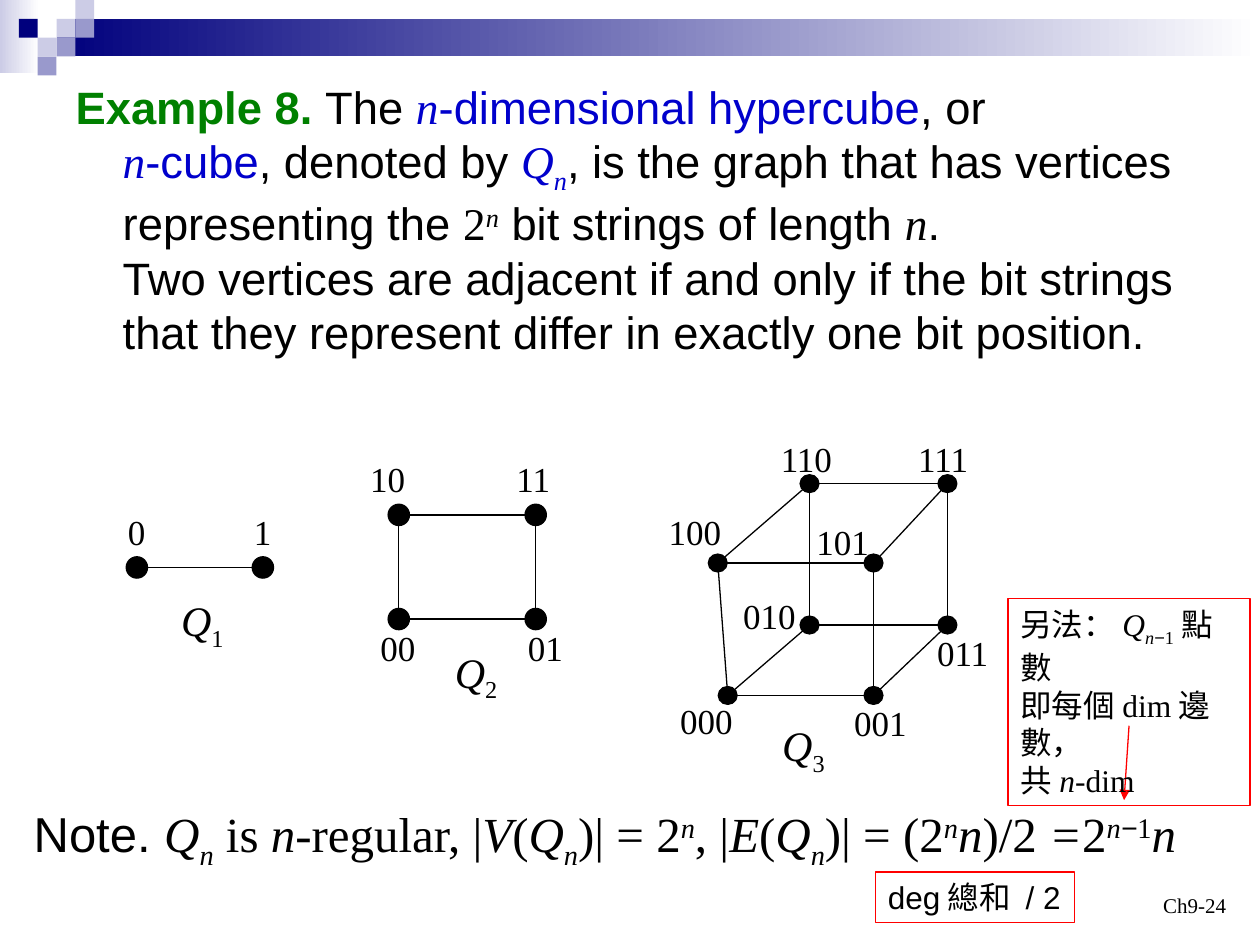
from itertools import combinations

from lxml import etree
from pptx import Presentation
from pptx.dml.color import RGBColor
from pptx.enum.shapes import MSO_CONNECTOR, MSO_SHAPE
from pptx.enum.text import MSO_ANCHOR, MSO_AUTO_SIZE, PP_ALIGN
from pptx.oxml.ns import qn
from pptx.util import Cm, Pt

RECT, OVAL = MSO_SHAPE.RECTANGLE, MSO_SHAPE.OVAL
LINE = MSO_CONNECTOR.STRAIGHT
GROW, FIXED = MSO_AUTO_SIZE.SHAPE_TO_FIT_TEXT, MSO_AUTO_SIZE.NONE
BASE, LOW, RIGHT = MSO_ANCHOR.TOP, MSO_ANCHOR.BOTTOM, PP_ALIGN.RIGHT

COLORS = {
    "black": "000000", "green": "008000", "blue": "0000CC", "red": "FF0000",
    "navy": "00007D", "mid": "9999CC", "pale": "CCCCE6", "white": "FFFFFF",
}
UNIT = 0.38  # side of one square in the corner pattern
SQUARES = [(3, 1, "pale"), (4, 0, "pale"), (4, 1, "mid"), (2, 2, "pale"),
           (1, 1, "navy"), (3, 2, "mid"), (2, 3, "mid")]

# Run marks: a Arial (else Times), b bold, i italic, g green, u blue,
# _ subscript, ^ superscript
BODY = [
    ("Example 8. ", "abg"), ("The ", "a"), ("n", "iu"),
    ("-dimensional hypercube", "au"), (", or \n", "a"), ("n", "iu"),
    ("-cube", "au"), (", denoted by ", "a"), ("Q", "iu"), ("n", "iu_"),
    (", is the graph that has vertices representing the ", "a"),
    ("2", ""), ("n", "i^"), (" bit strings of length ", "a"), ("n", "i"),
    (".\nTwo vertices are adjacent if and only if the bit strings that "
     "they represent differ in exactly one bit position.", "a"),
]
NOTE = [
    ("Note. ", "a"), ("Q", "i"), ("n", "i_"), (" is ", ""), ("n", "i"),
    ("-regular, |", ""), ("V", "i"), ("(", ""), ("Q", "i"), ("n", "i_"),
    (")| = 2", ""), ("n", "i^"), (", |", ""), ("E", "i"), ("(", ""),
    ("Q", "i"), ("n", "i_"), (")| = (2", ""), ("n", "i^"), ("n", "i"),
    (")/2", ""), (" =", "i"), ("2", ""), ("n", "i^"), ("−", "ai^"),
    ("1", "^"), ("n", "i"),
]
HINT = [
    ("另法：", ""), ("Q", "i"), ("n", "i_"), ("−", "a_"), ("1", "_"),
    ("點數\n即每個dim邊數，\n共", ""), ("n", "i"), ("-dim", ""),
]

# Each cube: name place, dot size, and bits -> (dot centre, label corner)
CUBES = {
    "1": ((3.4, 11.86), (0.43, 0.43), {
        "0": ((2.76, 11.44), (2.33, 10.16)),
        "1": ((5.3, 11.44), (4.87, 10.16)),
    }),
    "2": ((8.92, 12.9), (0.43, 0.43), {
        "10": ((8.04, 10.38), (7.21, 9.09)),
        "11": ((10.8, 10.38), (10.16, 9.09)),
        "00": ((8.04, 12.48), (7.42, 12.5)),
        "01": ((10.8, 12.48), (10.39, 12.5)),
    }),
    "3": ((15.52, 14.38), (0.38, 0.36), {
        "110": ((16.32, 9.75), (15.49, 8.69)),
        "111": ((19.1, 9.75), (18.26, 8.69)),
        "100": ((14.47, 11.35), (13.23, 10.16)),
        "101": ((17.61, 11.35), (16.21, 10.36)),
        "010": ((16.32, 12.6), (14.73, 11.86)),
        "011": ((19.1, 12.6), (18.64, 12.6)),
        "000": ((14.67, 14.02), (13.46, 13.97)),
        "001": ((17.61, 14.02), (16.97, 14.02)),
    }),
}


def rgb(name):
    return RGBColor.from_string(COLORS[name])


def cms(*nums):
    return [Cm(num) for num in nums]


def write(para, runs, size):
    for text, marks in runs:
        for pos, part in enumerate(text.split("\n")):
            if pos:
                para.add_line_break()
            if not part:
                continue
            run = para.add_run()
            run.text = part
            font = run.font
            font.size = Pt(size)
            font.name = "Arial" if "a" in marks else "Times New Roman"
            font.bold, font.italic = "b" in marks, "i" in marks
            hue = "green" if "g" in marks else "blue" if "u" in marks else "black"
            font.color.rgb = rgb(hue)
            shift = "-25000" if "_" in marks else "30000" if "^" in marks else None
            if shift:
                run._r.get_or_add_rPr().set("baseline", shift)


def add_text(slide, box, runs, size, wrap=False, edge=None):
    shape = slide.shapes.add_textbox(*cms(*box))
    frame = shape.text_frame
    frame.word_wrap, frame.auto_size = wrap, GROW
    write(frame.paragraphs[0], runs, size)
    if edge:
        shape.line.color.rgb = rgb(edge)
        shape.line.width = Pt(0.75)
    return shape


def add_solid(slide, kind, box, hue, fade=False):
    shape = slide.shapes.add_shape(kind, *cms(*box))
    shape.shadow.inherit = False
    shape.line.fill.background()
    if fade:
        shape.fill.gradient()
        shape.fill.gradient_angle = 0
        for stop, name in zip(shape.fill.gradient_stops, (hue, "white")):
            stop.color.rgb = rgb(name)
    else:
        shape.fill.solid()
        shape.fill.fore_color.rgb = rgb(hue)
    return shape


def add_line(slide, start, end, hue="black", arrow=False):
    line = slide.shapes.add_connector(LINE, *cms(*start, *end))
    line.line.color.rgb = rgb(hue)
    line.line.width = Pt(0.75)
    if arrow:
        tail = etree.SubElement(line.line._get_or_add_ln(), qn("a:tailEnd"))
        tail.set("type", "triangle")
    etree.SubElement(line._element.spPr, qn("a:effectLst"))


def add_cube(slide, dim, place, dot, nodes):
    # Edges join strings that differ in exactly one bit
    for one, two in combinations(nodes, 2):
        if sum(a != b for a, b in zip(one, two)) == 1:
            add_line(slide, nodes[one][0], nodes[two][0])
    wide, high = dot
    for bits, ((x, y), spot) in nodes.items():
        oval = add_solid(slide, OVAL, (x - wide / 2, y - high / 2, wide, high), "black")
        oval.line.color.rgb = rgb("black")
        oval.line.width = Pt(0.75)
        add_text(slide, (*spot, 0.51 + 0.35 * len(bits), 1.12), [(bits, "")], 20)
    add_text(slide, (*place, 1.37, 1.42), [("Q", "i"), (dim, "_")], 24)


def add_band(slide):
    add_solid(slide, RECT, (0, 0, 0.79, 1.47), "pale", True)
    add_solid(slide, RECT, (1.14, 0.38, 24.26, 0.76), "navy", True)
    for col, row, hue in SQUARES:
        add_solid(slide, RECT, (col * UNIT, row * UNIT, UNIT, UNIT), hue)


def add_body(slide):
    body = slide.placeholders[1]
    body.left, body.top, body.width, body.height = cms(1.27, 1.47, 22.86, 6.15)
    frame = body.text_frame
    frame.auto_size, frame.vertical_anchor = FIXED, BASE
    para = frame.paragraphs[0]
    props = para._p.get_or_add_pPr()
    props.set("marL", str(Cm(0.95)))
    props.set("indent", str(Cm(-0.95)))
    etree.SubElement(props, qn("a:buNone"))
    para.space_before = Pt(0)
    write(para, BODY, 25.9)


def main():
    deck = Presentation()
    deck.slide_width, deck.slide_height = cms(25.4, 19.05)
    slide = deck.slides.add_slide(deck.slide_layouts[1])
    title = slide.shapes.title._element
    title.getparent().remove(title)

    # Header and definition
    add_band(slide)
    add_body(slide)

    # Hypercubes
    for dim, (place, dot, nodes) in CUBES.items():
        add_cube(slide, dim, place, dot, nodes)

    # Note with its hints
    add_text(slide, (0.43, 16.08, 24.33, 1.6), NOTE, 28, wrap=True)
    add_text(slide, (17.65, 17.58, 4.01, 1.02), [("deg總和 / 2", "a")], 18, edge="red")
    add_line(slide, (22.76, 14.63), (22.66, 16.13), "red", arrow=True)
    add_text(slide, (20.32, 12.07, 4.88, 4.17), HINT, 18, wrap=True, edge="red")

    # Page number
    page = add_text(slide, (19.05, 17.35, 5.92, 1.27), [("Ch9-24", "")], 12, wrap=True)
    page.text_frame.auto_size = FIXED
    page.text_frame.vertical_anchor = LOW
    page.text_frame.paragraphs[0].alignment = RIGHT

    deck.save("out.pptx")


if __name__ == "__main__":
    main()
